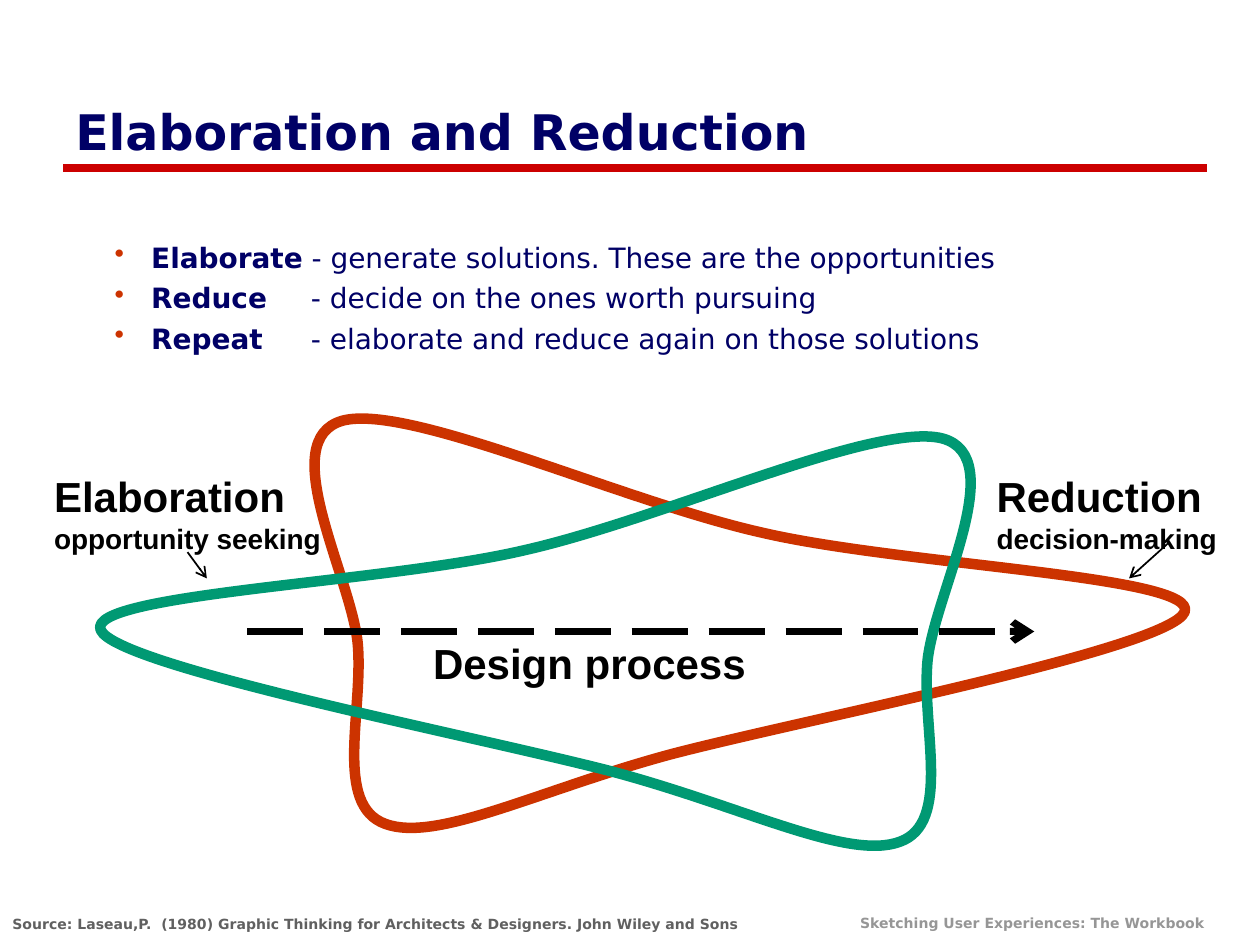
from dataclasses import dataclass

from lxml.etree import SubElement
from pptx import Presentation
from pptx.dml.color import RGBColor
from pptx.enum.dml import MSO_LINE
from pptx.enum.shapes import MSO_CONNECTOR
from pptx.enum.text import MSO_ANCHOR
from pptx.oxml.ns import qn
from pptx.util import Cm, Pt


@dataclass(frozen=True)
class Theme:
    heading_font: str = "DejaVu Sans"
    diagram_font: str = "Arial"
    navy: str = "000066"
    rule_red: str = "CC0000"
    orange: str = "CC3300"
    green: str = "009973"
    black: str = "000000"
    source_gray: str = "606060"
    footer_gray: str = "969696"
    title_size: int = 28
    label_size: int = 24
    body_size: int = 16
    note_size: int = 8


def add_run(paragraph, text, *, font, size, color, bold=True):
    run = paragraph.add_run()
    run.text = text
    run.font.name = font
    run.font.size = Pt(size)
    run.font.bold = bold
    run.font.color.rgb = RGBColor.from_string(color)


class SlideBuilder:
    def __init__(self, slide, theme):
        self.slide = slide
        self.theme = theme

    def text_box(self, left, top, width, height, wrap=True):
        shape = self.slide.shapes.add_textbox(Cm(left), Cm(top), Cm(width), Cm(height))
        shape.text_frame.word_wrap = wrap
        return shape.text_frame

    def text(self, box, text, *, anchor=MSO_ANCHOR.TOP, **style):
        frame = self.text_box(*box)
        frame.vertical_anchor = anchor
        add_run(frame.paragraphs[0], text, **style)

    def label(self, box, heading, detail):
        paragraph = self.text_box(*box, wrap=False).paragraphs[0]
        style = dict(font=self.theme.diagram_font, color=self.theme.black)
        add_run(paragraph, heading, size=self.theme.label_size, **style)
        paragraph.add_line_break()
        add_run(paragraph, detail, size=self.theme.body_size, **style)

    def bullets(self, box, items, indent, hanging, tab_stop):
        frame = self.text_box(*box)
        style = dict(font=self.theme.heading_font, size=self.theme.body_size,
                     color=self.theme.navy)
        for index, (term, explanation) in enumerate(items):
            paragraph = frame.add_paragraph() if index else frame.paragraphs[0]
            if index:
                paragraph.space_before = Pt(4)
            properties = paragraph._p.get_or_add_pPr()
            properties.set("marL", str(Cm(indent)))
            properties.set("indent", str(-Cm(hanging)))
            bullet_color = SubElement(properties, qn("a:buClr"))
            SubElement(bullet_color, qn("a:srgbClr"), val=self.theme.orange)
            SubElement(properties, qn("a:buChar"), char="•")
            # The stop counts from the frame or from the indent, by application
            tabs = SubElement(properties, qn("a:tabLst"))
            for position in (tab_stop - indent, tab_stop):
                SubElement(tabs, qn("a:tab"), pos=str(Cm(position)), algn="l")
            add_run(paragraph, term, **style)
            add_run(paragraph, explanation, bold=False, **style)

    def line(self, start, end, color, width, dash=None, arrow=False):
        connector = self.slide.shapes.add_connector(
            MSO_CONNECTOR.STRAIGHT, *map(Cm, start + end))
        connector.line.color.rgb = RGBColor.from_string(color)
        connector.line.width = Pt(width)
        if dash:
            connector.line.dash_style = dash
        if arrow:
            SubElement(connector.line._get_or_add_ln(), qn("a:tailEnd"), type="arrow")
        SubElement(connector._element.spPr, qn("a:effectLst"))

    def loop(self, points, color):
        """Draw a closed curve: a start point, then three points per Bézier segment."""
        start, *rest = [(Cm(x), Cm(y)) for x, y in points]
        builder = self.slide.shapes.build_freeform(*start)
        builder.add_line_segments(rest, close=True)
        shape = builder.convert_to_shape()
        shape.shadow.inherit = False
        shape.fill.background()
        shape.line.color.rgb = RGBColor.from_string(color)
        shape.line.width = Pt(6)
        segments = shape._element.xpath(".//a:lnTo")
        for index in range(0, len(segments), 3):
            curve = segments[index].makeelement(qn("a:cubicBezTo"))
            segments[index].addprevious(curve)
            for segment in segments[index:index + 3]:
                curve.append(segment[0])
                segment.getparent().remove(segment)


BULLETS = [
    ("Elaborate", " - generate solutions. These are the opportunities"),
    ("Reduce", "\t- decide on the ones worth pursuing"),
    ("Repeat", "\t- elaborate and reduce again on those solutions"),
]

REDUCTION_LOOP = [
    (6.91, 8.48),
    (8.26, 8.13), (12.55, 10.11), (15.37, 10.74),
    (18.21, 11.4), (24.18, 11.61), (23.88, 12.34),
    (23.57, 13.08), (16.21, 14.5), (13.51, 15.21),
    (10.85, 15.93), (8.81, 16.99), (7.77, 16.61),
    (6.71, 16.23), (7.34, 14.3), (7.21, 12.95),
    (7.06, 11.58), (5.54, 8.86), (6.91, 8.48),
]
# The elaboration loop mirrors the reduction loop, slightly lower
ELABORATION_LOOP = [(25.91 - x, y + 0.36) for x, y in REDUCTION_LOOP]


def main():
    presentation = Presentation()
    presentation.slide_width, presentation.slide_height = Cm(25.4), Cm(19.05)
    slide = presentation.slides.add_slide(presentation.slide_layouts[6])
    theme = Theme()
    builder = SlideBuilder(slide, theme)

    # Title and rule
    builder.line((1.27, 3.38), (24.33, 3.38), theme.rule_red, 4.5)
    builder.text((1.27, 1.9, 21.6, 1.48), "Elaboration and Reduction",
                 anchor=MSO_ANCHOR.MIDDLE, font=theme.heading_font,
                 size=theme.title_size, color=theme.navy)

    # Bullets
    builder.bullets((1.3, 4.72, 23.01, 13.2), BULLETS,
                    indent=1.5, hanging=0.74, tab_stop=4.72)

    # Reduction
    builder.label((19.84, 9.37, 4.95, 1.96), "Reduction", "decision-making")
    builder.line((23.55, 10.95), (22.76, 11.66), theme.black, 1, arrow=True)
    builder.loop(REDUCTION_LOOP, theme.orange)

    # Elaboration
    builder.label((0.84, 9.37, 5.89, 1.96), "Elaboration", "opportunity seeking")
    builder.line((3.78, 11.13), (4.17, 11.66), theme.black, 1, arrow=True)
    builder.loop(ELABORATION_LOOP, theme.green)

    # Design process
    builder.line((4.98, 12.73), (20.85, 12.73), theme.black, 4,
                 dash=MSO_LINE.LONG_DASH, arrow=True)
    builder.text((8.48, 12.73, 11.23, 1.27), "Design process",
                 font=theme.diagram_font, size=theme.label_size, color=theme.black)

    # Source and footer
    note = dict(font=theme.heading_font, size=theme.note_size)
    builder.text((0, 18.34, 23.83, 0.61),
                 "Source: Laseau,P.  (1980) Graphic Thinking for Architects & Designers. "
                 "John Wiley and Sons", color=theme.source_gray, **note)
    builder.text((17.09, 18.31, 7.6, 0.61), "Sketching User Experiences: The Workbook",
                 color=theme.footer_gray, **note)

    presentation.save("out.pptx")


if __name__ == "__main__":
    main()
